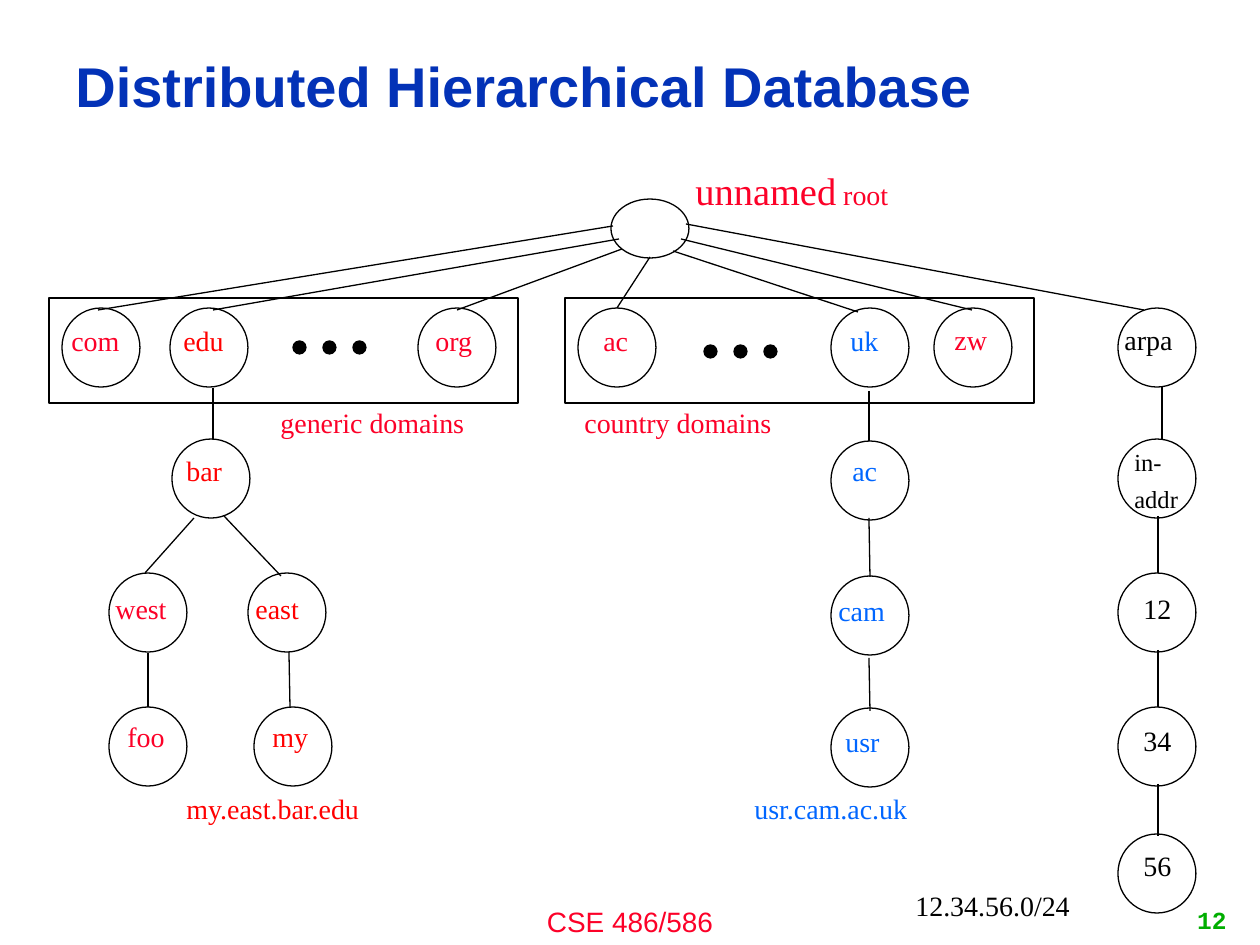
from pptx import Presentation
from pptx.dml.color import RGBColor
from pptx.enum.shapes import MSO_CONNECTOR, MSO_SHAPE
from pptx.enum.text import MSO_ANCHOR, MSO_AUTO_SIZE, PP_ALIGN
from pptx.oxml.ns import qn
from pptx.util import Emu, Pt

OVAL, RECT = MSO_SHAPE.OVAL, MSO_SHAPE.RECTANGLE
STRAIGHT = MSO_CONNECTOR.STRAIGHT
LEFT, CENTER, RIGHT = PP_ALIGN.LEFT, PP_ALIGN.CENTER, PP_ALIGN.RIGHT
TOP, MIDDLE = MSO_ANCHOR.TOP, MSO_ANCHOR.MIDDLE
GROW = MSO_AUTO_SIZE.SHAPE_TO_FIT_TEXT

EMU_PER_PX = 914400 / 126
SERIF = "Times New Roman"
COLORS = {
    "black": "000000", "crimson": "FC0128", "red": "FF0000",
    "sky": "0066FF", "navy": "0332B7", "green": "00AE00",
}
NODE_W, NODE_H, LABEL_H = 78, 79, 54
DOT, DOT_STEP = 13, 30

# Label, node left and top, label left, top and width, colour
NODES = [
    ("com", 62, 308, 59, 317, 87, "crimson"),
    ("edu", 170, 308, 171, 317, 79, "red"),
    ("org", 418, 308, 423, 317, 76, "crimson"),
    ("ac", 578, 308, 591, 317, 58, "crimson"),
    ("uk", 831, 308, 838, 317, 64, "sky"),
    ("zw", 934, 308, 942, 316, 67, "crimson"),
    ("arpa", 1118, 308, 1112, 316, 96, "black"),
    ("bar", 172, 439, 174, 447, 78, "red"),
    ("west", 109, 573, 103, 585, 92, "crimson"),
    ("east", 248, 573, 243, 585, 83, "red"),
    ("foo", 109, 707, 115, 713, 72, "crimson"),
    ("my", 254, 707, 260, 713, 72, "red"),
    ("ac", 831, 441, 840, 447, 58, "sky"),
    ("cam", 831, 576, 826, 587, 87, "sky"),
    ("usr", 831, 708, 833, 718, 74, "sky"),
    ("12", 1118, 573, 1131, 585, 60, "black"),
    ("34", 1118, 707, 1131, 717, 60, "black"),
    ("56", 1118, 834, 1131, 842, 60, "black"),
]
CAPTIONS = [
    ("generic domains", 268, 399, 256, "crimson"),
    ("country domains", 572, 399, 260, "crimson"),
    ("my.east.bar.edu", 174, 785, 263, "red"),
    ("usr.cam.ac.uk", 742, 785, 234, "sky"),
    ("12.34.56.0/24", 903, 882, 219, "black"),
]
EDGES = [
    # Root to top-level domains
    (613, 226, 98, 310), (619, 239, 213, 310), (622, 249, 457, 310),
    (650, 257, 617, 308), (686, 224, 1144, 310), (681, 239, 972, 310),
    (673, 251, 858, 312),
    # edu branch
    (213, 388, 213, 439), (194, 518, 145, 573), (224, 516, 281, 576),
    (148, 653, 148, 707), (289, 652, 290, 707),
    # uk branch
    (869, 391, 869, 441), (869, 518, 870, 577), (869, 658, 870, 711),
    # arpa branch
    (1162, 387, 1162, 439), (1158, 516, 1158, 573),
    (1158, 650, 1158, 707), (1158, 784, 1158, 836),
]


def px(*values):
    return [Emu(round(v * EMU_PER_PX)) for v in values]


def rgb(name):
    return RGBColor.from_string(COLORS[name])


def add_outline(shapes, kind, x, y, w, h, fill=None):
    sp = shapes.add_shape(kind, *px(x, y, w, h))
    sp.shadow.inherit = False
    if fill:
        sp.fill.solid()
        sp.fill.fore_color.rgb = rgb(fill)
    else:
        sp.fill.background()
    sp.line.color.rgb = rgb("black")
    sp.line.width = Pt(0.75)


def add_edge(s, x1, y1, x2, y2):
    line = s.shapes.add_connector(STRAIGHT, *px(x1, y1, x2, y2))
    line.line.color.rgb = rgb("black")
    line.line.width = Pt(0.75)
    props = line._element.spPr
    props.append(props.makeelement(qn("a:effectLst"), {}))


def style_run(r, size, color, font, bold=False):
    r.font.size, r.font.name, r.font.bold = Pt(size), font, bold
    r.font.color.rgb = rgb(color)


def add_text(s, text, x, y, w, h, color, size=16, font=SERIF, bold=False,
             align=LEFT, anchor=TOP, wrap=False, grow=True):
    tf = s.shapes.add_textbox(*px(x, y, w, h)).text_frame
    tf.word_wrap = wrap
    if grow:
        tf.auto_size = GROW
    tf.vertical_anchor = anchor
    tf.text = text
    for p in tf.paragraphs:
        p.alignment = align
        for r in p.runs:
            style_run(r, size, color, font, bold)
    return tf


def add_node(s, label, x, y, label_x, label_y, label_w, color):
    add_outline(s.shapes, OVAL, x, y, NODE_W, NODE_H)
    add_text(s, label, label_x, label_y, label_w, LABEL_H, color)


def add_ellipsis(s, x, y):
    group = s.shapes.add_group_shape()
    for i in range(3):
        add_outline(group.shapes, OVAL, x + i * DOT_STEP, y, DOT, DOT, "black")


def add_root(s):
    add_outline(s.shapes, OVAL, 611, 199, NODE_W, 59)
    tf = add_text(s, "unnamed", 683, 161, 233, 59, "crimson", size=22)
    r = tf.paragraphs[0].add_run()
    r.text = " root"
    style_run(r, 16, "crimson", SERIF)


def add_in_addr(s):
    add_outline(s.shapes, OVAL, 1118, 439, NODE_W, NODE_H)
    tf = add_text(s, "in-\naddr", 1122, 446, 76, 59, "black", size=14)
    for p in tf.paragraphs:
        p.line_spacing = 0.8
    tf.paragraphs[1].space_before = Pt(8)


def main():
    prs = Presentation()
    prs.slide_width, prs.slide_height = px(1260, 945)
    s = prs.slides.add_slide(prs.slide_layouts[6])

    # Title and footer
    title = add_text(s, "Distributed Hierarchical Database", 63, 10, 1134, 158,
                     "navy", 32, "Arial", True, anchor=MIDDLE, wrap=True,
                     grow=False)
    title.paragraphs[0].line_spacing = 0.9
    add_text(s, "CSE 486/586", 420, 898, 420, 47, "crimson", font="Arial",
             align=CENTER, wrap=True)
    add_text(s, "12", 945, 895, 294, 50, "green", 14, "Courier New", True,
             align=RIGHT, anchor=MIDDLE, wrap=True, grow=False)

    # Domain frames and their ellipses
    for x in (49, 565):
        add_outline(s.shapes, RECT, x, 298, 469, 105)
    add_ellipsis(s, 293, 341)
    add_ellipsis(s, 704, 345)

    # Tree
    add_root(s)
    add_in_addr(s)
    for node in NODES:
        add_node(s, *node)
    for edge in EDGES:
        add_edge(s, *edge)

    # Captions
    for text, x, y, w, color in CAPTIONS:
        add_text(s, text, x, y, w, LABEL_H, color)

    prs.save("out.pptx")


if __name__ == "__main__":
    main()
